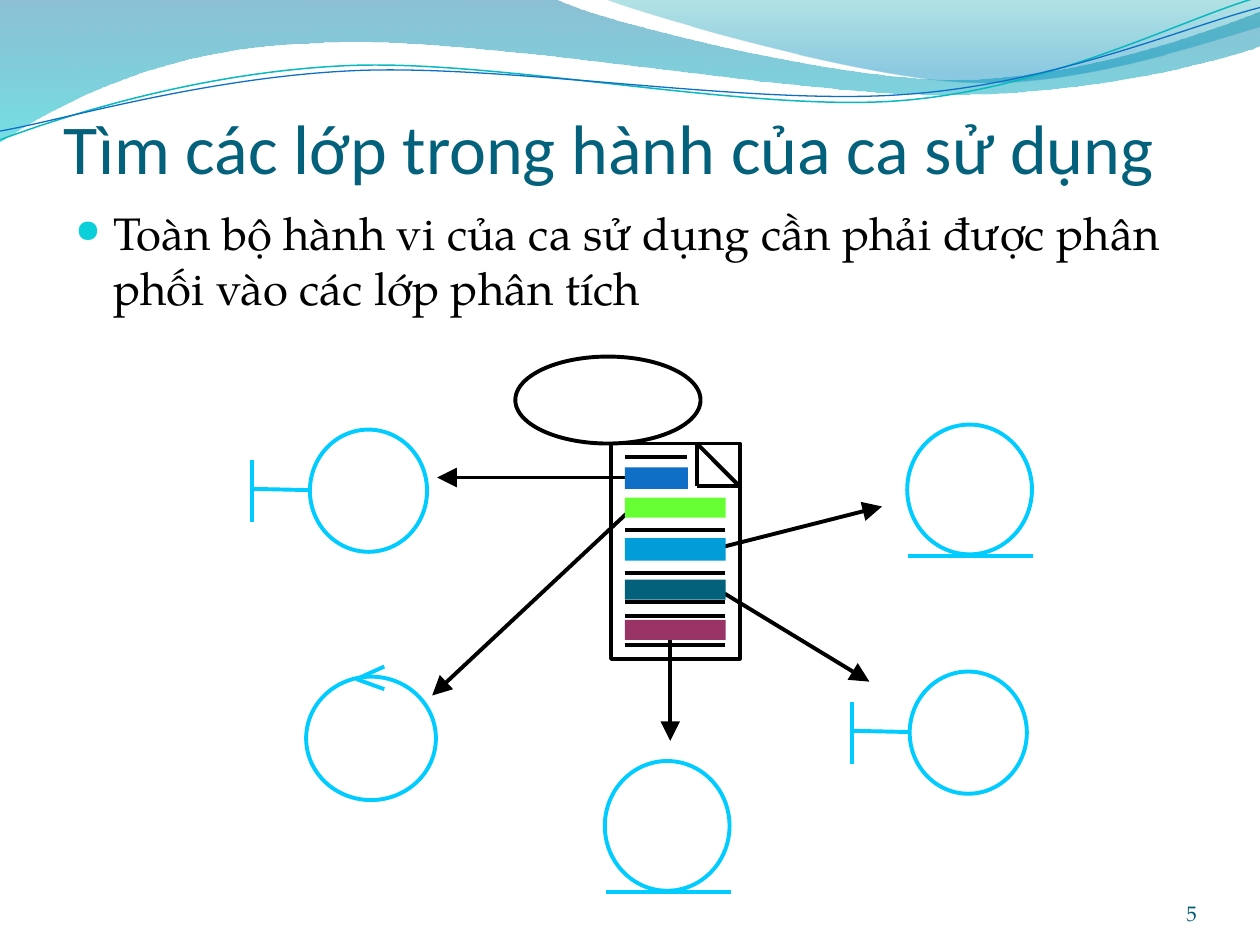
import math
import pptx
import pptx.util
from dataclasses import dataclass
from lxml import etree
from pptx.dml.color import RGBColor
from pptx.enum.shapes import MSO_CONNECTOR, MSO_SHAPE
from pptx.enum.text import MSO_ANCHOR, MSO_AUTO_SIZE, PP_ALIGN
from pptx.oxml.ns import qn
from pptx.util import Inches, Pt


@dataclass(frozen=True)
class Theme:
    title: str = "04617B"
    ink: str = "000000"
    number: str = "045D75"
    bullet: str = "0BD0D9"
    symbol: str = "00CCFF"
    head_font: str = "Calibri"
    body_font: str = "TeX Gyre Pagella"
    title_size: float = 40
    body_size: float = 26
    number_size: float = 12
    stroke: float = 2.25


THEME = Theme()

# A path is a start point, then lines (x, y) and curves (x1, y1, x2, y2, x, y).
LEFT_WAVE = [(0, 0), (4.4, -0.01), (4.76, 0.17, 6.64, 0.63, 7.58, 0.63),
             (8.53, 0.63, 9.58, 0.26, 10, 0.09), (10.01, 0.36),
             (9.83, 0.44, 8.7, 0.76, 7.46, 0.75), (6.22, 0.75, 3.82, 0.28, 2.57, 0.34),
             (1.29, 0.36, 0.46, 0.83, -0.01, 1.13)]
RIGHT_WAVE = [(4.79, -0.01), (5.09, 0.11, 6.82, 0.62, 7.69, 0.65),
              (8.56, 0.69, 9.61, 0.32, 10, 0.21), (10, 0)]
TEAL_STRAND = [(0, 1.11), (0.48, 0.93, 1.58, 0.57, 2.77, 0.52),
               (3.95, 0.47, 5.93, 0.89, 7.13, 0.8), (8.33, 0.71, 9.38, 0.15, 9.98, -0.02)]
BLUE_STRAND = [(0, 1.04), (0.47, 0.96, 1.64, 0.61, 2.83, 0.56),
               (4.03, 0.51, 5.97, 0.84, 7.17, 0.75), (8.36, 0.67, 9.41, 0.21, 10, 0.06)]
STRAND_CENTER = (4.99, 0.58)
STRAND_TILT = -2.7

ARROWS = [(5.07, 3.79, 3.47, 3.79), (5.7, 4.35, 7, 4.02), (5.32, 4.92, 5.32, 5.88),
          (5.7, 4.68, 6.9, 5.41), (4.99, 4.06, 3.43, 5.52)]
BLOCKS = [(3.71, 0.5, 0.17, "0F6FC6"), (3.95, 0.8, 0.16, "66FF33"),
          (4.27, 0.8, 0.18, "009DD9"), (4.6, 0.8, 0.16, "04617B"),
          (4.92, 0.8, 0.16, "993366")]


def rgb(value):
    return RGBColor.from_string(value)


def set_values(target, values):
    for name, value in values.items():
        setattr(target, name, value)


def set_line(line, color, width):
    line.color.rgb = rgb(color)
    line.width = Pt(width)


def turn(point, center, degrees):
    angle = math.radians(degrees)
    dx, dy = point[0] - center[0], point[1] - center[1]
    return (center[0] + dx * math.cos(angle) - dy * math.sin(angle),
            center[1] + dx * math.sin(angle) + dy * math.cos(angle))


def add_path(s, parts, close, tilt=0):
    """Build a freeform through all points, then join each three into a curve."""
    points = [turn(part[i:i + 2], STRAND_CENTER, -tilt)
              for part in parts for i in range(0, len(part), 2)]
    points = [(Inches(x), Inches(y)) for x, y in points]
    builder = s.shapes.build_freeform(*points[0])
    builder.add_line_segments(points[1:], close=close)
    sp = builder.convert_to_shape()
    sp.shadow.inherit = False
    sp.rotation = tilt
    nodes = iter(list(sp.element.iter(qn("a:lnTo"))))
    for part in parts[1:]:
        group = [next(nodes) for _ in range(len(part) // 2)]
        if len(group) == 3:
            curve = etree.Element(qn("a:cubicBezTo"))
            group[0].addprevious(curve)
            for node in group:
                curve.append(node[0])
                node.getparent().remove(node)
    return sp


def add_wave(s, parts, stops):
    """Draw a closed wave; each stop is position, colour, opacity in percent."""
    sp = add_path(s, parts, True)
    sp.line.fill.background()
    sp.fill.gradient()
    sp.fill.gradient_angle = 270
    for stop, (position, color, _) in zip(sp.fill.gradient_stops, stops):
        stop.position = position
        stop.color.rgb = rgb(color)
    for node, (_, _, opacity) in zip(sp.element.spPr.iter(qn("a:srgbClr")), stops):
        etree.SubElement(node, qn("a:alpha"), val=str(opacity * 1000))


def add_strand(s, parts, color, width):
    sp = add_path(s, parts, False, STRAND_TILT)
    sp.fill.background()
    set_line(sp.line, color, width)


def add_shape(s, kind, box, line=None, fill=None):
    sp = s.shapes.add_shape(kind, *map(Inches, box))
    sp.shadow.inherit = False
    if fill:
        sp.fill.solid()
        sp.fill.fore_color.rgb = rgb(fill)
    else:
        sp.fill.background()
    if line:
        set_line(sp.line, line, THEME.stroke)
    else:
        sp.line.fill.background()


def add_line(s, ends, color=THEME.ink, arrow=False):
    cxn = s.shapes.add_connector(MSO_CONNECTOR.STRAIGHT, *map(Inches, ends))
    set_line(cxn.line, color, THEME.stroke)
    if arrow:
        ln = cxn.element.spPr.find(qn("a:ln"))
        etree.SubElement(ln, qn("a:tailEnd"), type="triangle", w="lg", len="lg")
    etree.SubElement(cxn.element.spPr, qn("a:effectLst"))


def set_text(sp, text, box, font, size, color, frame, align=PP_ALIGN.LEFT):
    set_values(sp, dict(zip(("left", "top", "width", "height"), map(Inches, box))))
    tf = sp.text_frame
    set_values(tf, {"word_wrap": True, "auto_size": MSO_AUTO_SIZE.NONE, **frame})
    p = tf.paragraphs[0]
    p.alignment = align
    r = p.add_run()
    r.text = text
    set_values(r.font, {"name": font, "size": Pt(size)})
    r.font.color.rgb = rgb(color)
    return p


def add_text(s, *args, **kwargs):
    return set_text(s.shapes.add_textbox(0, 0, 0, 0), *args, **kwargs)


def add_bullet(p, indent):
    p.space_before = Pt(0.2 * THEME.body_size)
    pPr = p._p.get_or_add_pPr()
    pPr.set("marL", str(Inches(indent)))
    pPr.set("indent", str(-Inches(indent)))
    color = etree.SubElement(pPr, qn("a:buClr"))
    etree.SubElement(color, qn("a:srgbClr"), val=THEME.bullet)
    etree.SubElement(pPr, qn("a:buSzPct"), val="70000")
    etree.SubElement(pPr, qn("a:buChar"), char="●")


def add_circle(s, *box):
    add_shape(s, MSO_SHAPE.OVAL, box, line=THEME.symbol)


def add_entity(s, x, y):
    add_circle(s, x, y, 0.99, 1.03)
    add_line(s, (x + 0.01, y + 1.04, x + 1, y + 1.04), THEME.symbol)


def add_boundary(s, x, y):
    add_circle(s, x + 0.46, y, 0.93, 0.97)
    add_line(s, (x, y + 0.24, x, y + 0.73), THEME.symbol)
    add_line(s, (x, y + 0.47, x + 0.46, y + 0.48), THEME.symbol)


def add_control(s, x, y):
    add_circle(s, x, y, 1.03, 0.98)
    for end in (-0.08, 0.1):
        add_line(s, (x + 0.62, y + end, x + 0.4, y + 0.02), THEME.symbol)


def add_use_case_page(s):
    """Draw the use case, its folded page of text and the arrows to the classes."""
    add_shape(s, MSO_SHAPE.OVAL, (4.09, 2.83, 1.47, 0.69), line=THEME.ink)
    add_shape(s, MSO_SHAPE.RECTANGLE, (4.85, 3.52, 1.02, 1.71), line=THEME.ink)
    for fold in [(5.53, 3.52, 5.87, 3.86), (5.53, 3.52, 5.53, 3.86), (5.87, 3.86, 5.53, 3.86)]:
        add_line(s, fold)
    for row in range(14):
        y = 3.63 + row * 1.49 / 13
        add_line(s, (4.96, y, 5.45 if row < 3 else 5.75, y))
    for ends in ARROWS:
        add_line(s, ends, arrow=True)
    for top, width, height, color in BLOCKS:
        add_shape(s, MSO_SHAPE.RECTANGLE, (4.96, top, width, height), fill=color)


def main():
    prs = pptx.Presentation()
    set_values(prs, {"slide_width": Inches(10), "slide_height": Inches(7.5)})
    s = prs.slides.add_slide(prs.slide_layouts[5])

    add_wave(s, LEFT_WAVE, [(0, "0074A1", 45), (1, "00C6CF", 55)])
    add_wave(s, RIGHT_WAVE, [(0, "00A1A9", 30), (0.8, "008BBF", 45)])
    add_strand(s, TEAL_STRAND, "0AB8BF", 0.85)
    add_strand(s, BLUE_STRAND, "0F6FC6", 0.75)

    bottom = {"vertical_anchor": MSO_ANCHOR.BOTTOM, "margin_left": 0, "margin_right": 0,
              "margin_bottom": 0}
    set_text(s.shapes.title, "Tìm các lớp trong hành của ca sử dụng", (0.5, 0.77, 9, 0.73),
             THEME.head_font, THEME.title_size, THEME.title, bottom)
    p = add_text(s, "Toàn bộ hành vi của ca sử dụng cần phải được phân phối vào các lớp phân tích",
                 (0.5, 1.58, 9, 5.33), THEME.body_font, THEME.body_size, THEME.ink, {})
    add_bullet(p, 0.3)
    add_text(s, "5", (8.67, 6.95, 0.83, 0.4), THEME.body_font, THEME.number_size,
             THEME.number, {**bottom, "margin_top": 0}, align=PP_ALIGN.RIGHT)

    add_use_case_page(s)
    add_entity(s, 7.2, 3.37)
    add_control(s, 2.43, 5.37)
    add_boundary(s, 2, 3.41)
    add_entity(s, 4.8, 6.04)
    add_boundary(s, 6.76, 5.33)
    prs.save("out.pptx")


if __name__ == "__main__":
    main()
